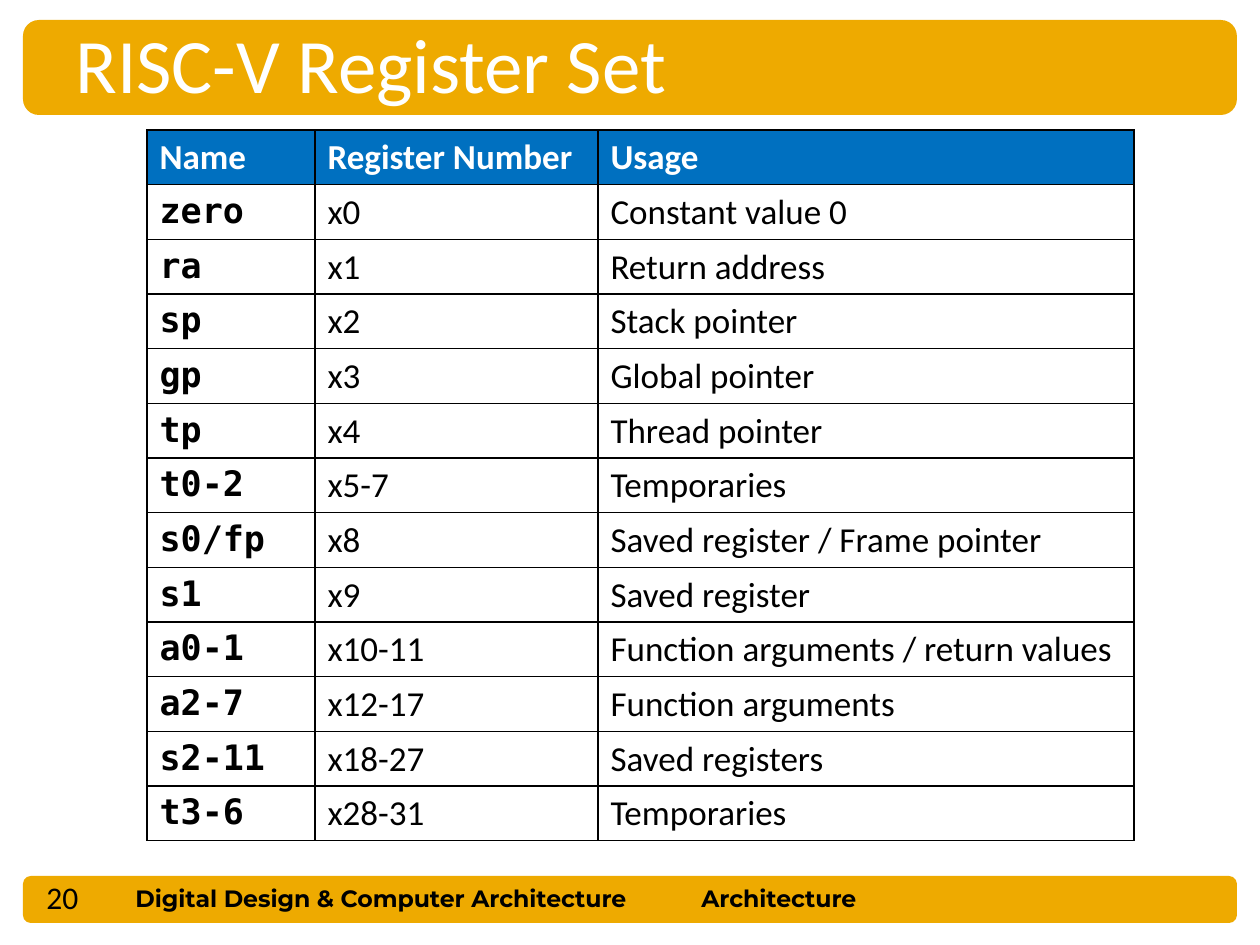
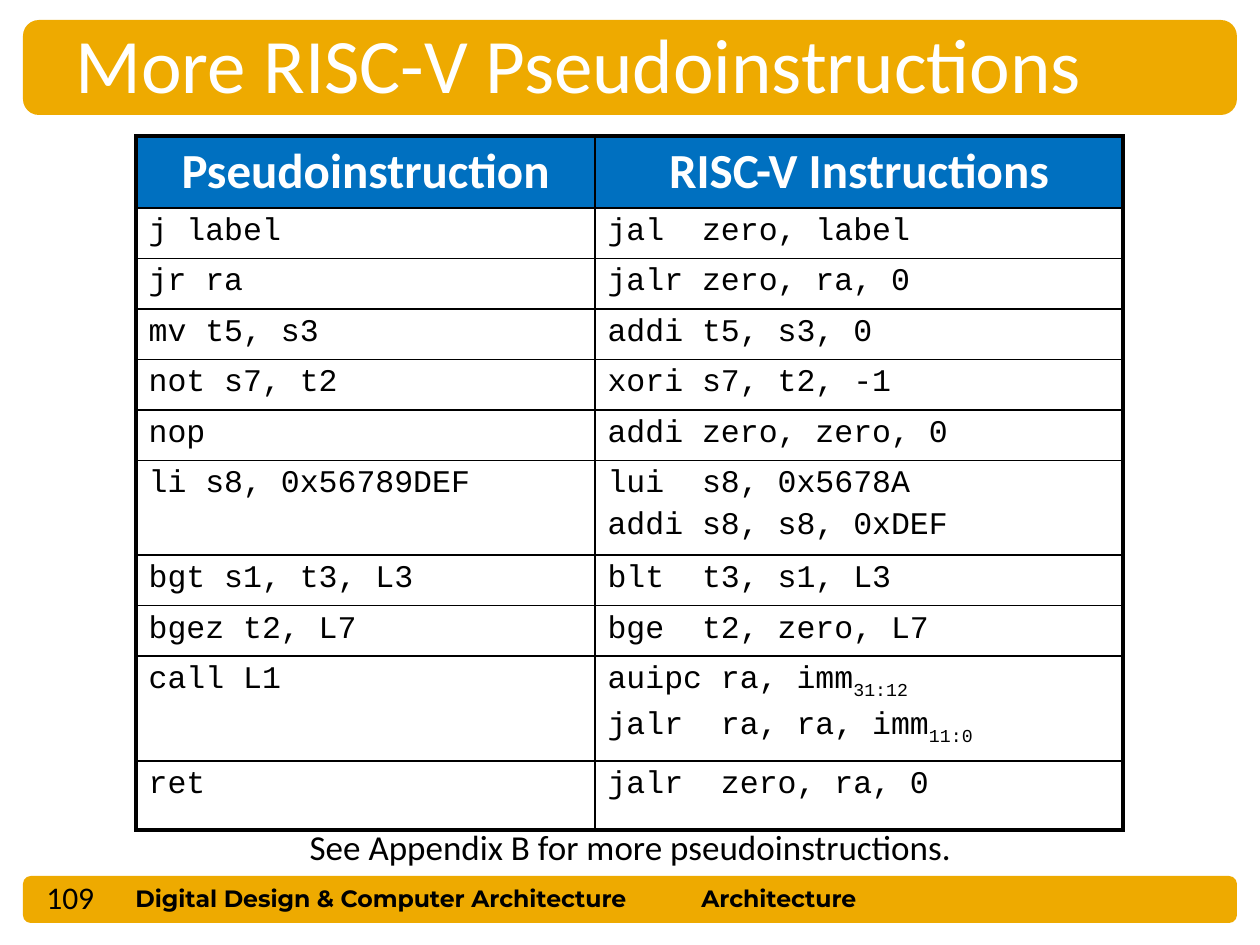
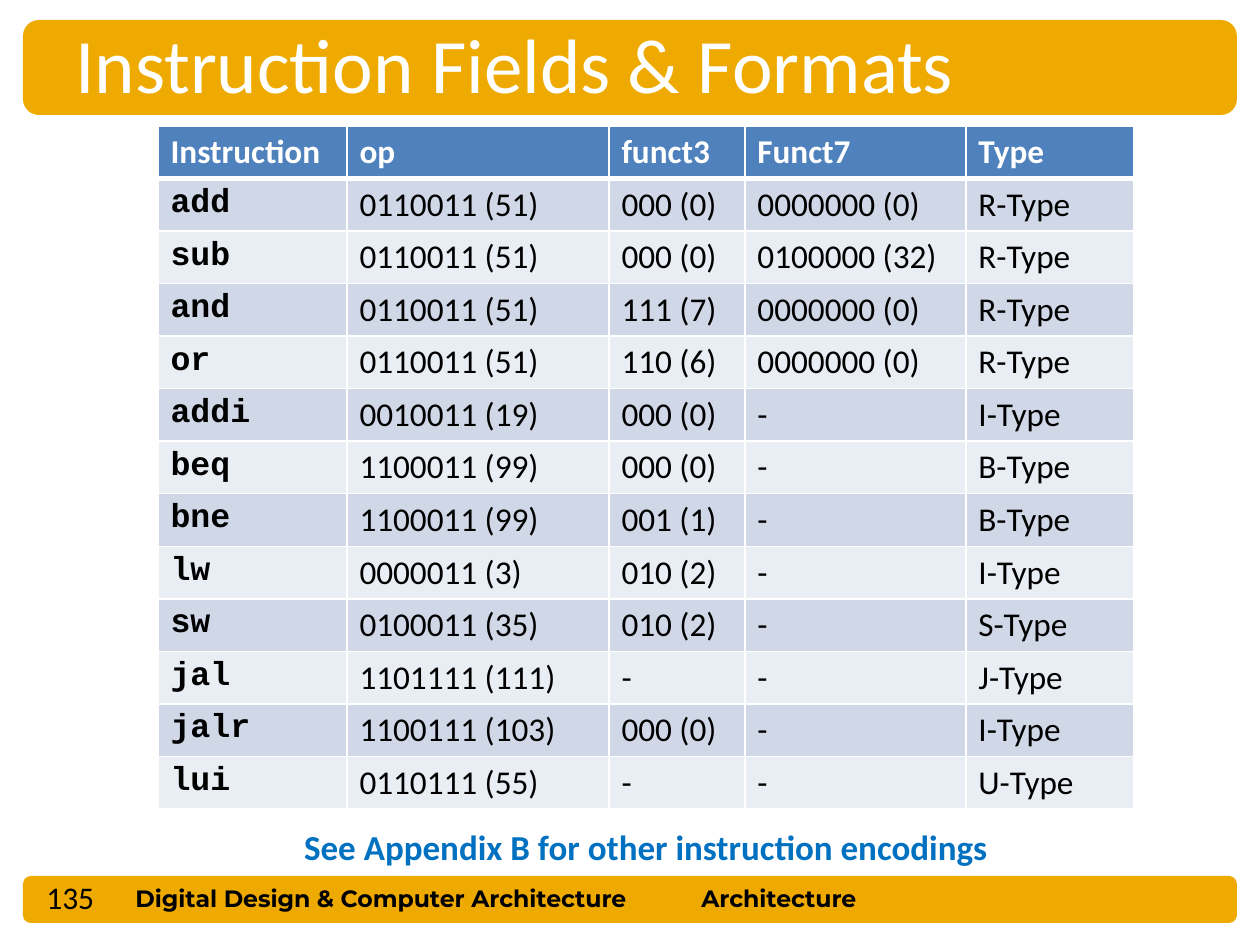
from lxml.etree import SubElement
from pptx import Presentation
from pptx.dml.color import RGBColor
from pptx.enum.shapes import MSO_SHAPE
from pptx.enum.text import MSO_ANCHOR, PP_ALIGN
from pptx.oxml.ns import qn
from pptx.util import Inches, Pt

PX = 914400 // 126
GOLD, BLUE, STEEL = "EEAA00", "0070C0", "4F81BD"
BLACK, WHITE = "000000", "FFFFFF"
BANDS = "D0D8E8", "E9EDF4"
hue = RGBColor.from_string


def write(para, text, size, color, font="Calibri", bold=False):
    """Add runs to a paragraph; what follows an underscore is a subscript."""
    for i, part in enumerate(text.split("_")):
        run = para.add_run()
        run.text = part
        run.font.size = Pt(size)
        run.font.name = font
        run.font.bold = bold
        run.font.color.rgb = hue(color)
        if i:
            run._r.get_or_add_rPr().set("baseline", "-25000")


def label(slide, box, *style):
    """Place a one-line text box and return its paragraph."""
    frame = slide.shapes.add_textbox(*(n * PX for n in box)).text_frame
    frame.word_wrap = True
    write(frame.paragraphs[0], *style)
    return frame.paragraphs[0]


registers = [
    ("Name", "Register Number", "Usage"),
    ("zero", "x0", "Constant value 0"),
    ("ra", "x1", "Return address"),
    ("sp", "x2", "Stack pointer"),
    ("gp", "x3", "Global pointer"),
    ("tp", "x4", "Thread pointer"),
    ("t0-2", "x5-7", "Temporaries"),
    ("s0/fp", "x8", "Saved register / Frame pointer"),
    ("s1", "x9", "Saved register"),
    ("a0-1", "x10-11", "Function arguments / return values"),
    ("a2-7", "x12-17", "Function arguments"),
    ("s2-11", "x18-27", "Saved registers"),
    ("t3-6", "x28-31", "Temporaries"),
]
pseudos = [
    ("Pseudoinstruction", "RISC-V Instructions"),
    ("j label", "jal  zero, label"),
    ("jr ra", "jalr zero, ra, 0"),
    ("mv t5, s3", "addi t5, s3, 0"),
    ("not s7, t2", "xori s7, t2, -1"),
    ("nop", "addi zero, zero, 0"),
    ("li s8, 0x56789DEF", "lui  s8, 0x5678A\naddi s8, s8, 0xDEF"),
    ("bgt s1, t3, L3", "blt  t3, s1, L3"),
    ("bgez t2, L7", "bge  t2, zero, L7"),
    ("call L1", "auipc ra, imm_31:12\njalr  ra, ra, imm_11:0"),
    ("ret", "jalr  zero, ra, 0"),
]
formats = [
    ("Instruction", "op", "funct3", "Funct7", "Type"),
    ("add", "0110011 (51)", "000 (0)", "0000000 (0)", "R-Type"),
    ("sub", "0110011 (51)", "000 (0)", "0100000 (32)", "R-Type"),
    ("and", "0110011 (51)", "111 (7)", "0000000 (0)", "R-Type"),
    ("or", "0110011 (51)", "110 (6)", "0000000 (0)", "R-Type"),
    ("addi", "0010011 (19)", "000 (0)", "-", "I-Type"),
    ("beq", "1100011 (99)", "000 (0)", "-", "B-Type"),
    ("bne", "1100011 (99)", "001 (1)", "-", "B-Type"),
    ("lw", "0000011 (3)", "010 (2)", "-", "I-Type"),
    ("sw", "0100011 (35)", "010 (2)", "-", "S-Type"),
    ("jal", "1101111 (111)", "-", "-", "J-Type"),
    ("jalr", "1100111 (103)", "000 (0)", "-", "I-Type"),
    ("lui", "0110111 (55)", "-", "-", "U-Type"),
]

# code: font, bold and number of the leading columns set in it
# rule: colour and widths of the inner, outer and header lines
pages = [
    dict(num="20", title="RISC-V Register Set", data=registers,
         at=(147, 130), cols=(168, 283, 536), rows=[54] * 13,
         sizes=(20, 20), code=("DejaVu Sans Mono", True, 1),
         head=BLUE, bands=None, rule=(BLACK, 1, 1, 1), mid=False),
    dict(num="109", title="More RISC-V Pseudoinstructions", data=pseudos,
         at=(136, 136), cols=(459, 528),
         rows=[72] + [50] * 5 + [95, 50, 50, 105, 69],
         sizes=(28, 18), code=("Courier New", False, 2),
         head=BLUE, bands=None, rule=(BLACK, 1, 2.25, 1), mid=True),
    dict(num="135", title="Instruction Fields & Formats", data=formats,
         at=(158, 126), cols=(189, 262, 136, 221, 168), rows=[52] * 13,
         sizes=(19, 19), code=("Courier New", True, 1),
         head=STEEL, bands=BANDS, rule=(WHITE, 1, 1, 3), mid=False),
]

deck = Presentation()
deck.slide_width, deck.slide_height = Inches(10), Inches(7.5)

for page in pages:
    slide = deck.slides.add_slide(deck.slide_layouts[6])
    for top, high in (876, 47), (20, 95):
        band = slide.shapes.add_shape(
            MSO_SHAPE.ROUNDED_RECTANGLE, 23 * PX, top * PX, 1214 * PX, high * PX)
        band.shadow.inherit = False
        band.fill.solid()
        band.fill.fore_color.rgb = hue(GOLD)
        band.line.fill.background()
    foot = 13.5, BLACK, "Montserrat", True
    label(slide, (123, 878, 559, 42), "Digital Design & Computer Architecture", *foot)
    label(slide, (689, 878, 370, 42), "Architecture", *foot)
    label(slide, (63, 10, 1144, 106), page["title"], 44, WHITE)
    label(slide, (34, 872, 103, 49), page["num"], 18, BLACK)

    data, cols, rows = page["data"], page["cols"], page["rows"]
    left, top = page["at"]
    grid = slide.shapes.add_table(
        len(rows), len(cols), left * PX, top * PX,
        sum(cols) * PX, sum(rows) * PX).table
    grid.first_row = page["bands"] is not None
    grid.horz_banding = False
    for col, wide in zip(grid.columns, cols):
        col.width = wide * PX
    for row, high in zip(grid.rows, rows):
        row.height = high * PX

    font, bold, span = page["code"]
    ink, inner, outer, under = page["rule"]
    for r, line in enumerate(data):
        for c, text in enumerate(line):
            cell = grid.cell(r, c)
            widths = {
                "L": inner if c else outer,
                "R": inner if c < len(cols) - 1 else outer,
                "T": outer if r == 0 else under if r == 1 else inner,
                "B": under if r == 0 else outer if r == len(rows) - 1 else inner,
            }
            for side, width in widths.items():
                edge = SubElement(cell._tc.get_or_add_tcPr(), qn("a:ln" + side),
                                  w=str(Pt(width)))
                fill = SubElement(edge, qn("a:solidFill"))
                SubElement(fill, qn("a:srgbClr"), val=ink)
            if r == 0 or page["bands"]:
                cell.fill.solid()
                cell.fill.fore_color.rgb = hue(
                    page["bands"][(r - 1) % 2] if r else page["head"])
            else:
                cell.fill.background()

            if r == 0:
                style = page["sizes"][0], WHITE, "Calibri", True
            elif c < span:
                style = page["sizes"][1], BLACK, font, bold
            else:
                style = page["sizes"][1], BLACK
            frame = cell.text_frame
            for i, words in enumerate(text.split("\n")):
                para = frame.add_paragraph() if i else frame.paragraphs[0]
                if i:
                    para.space_before = Pt(3.6)
                write(para, words, *style)
            if r == 0 and page["mid"]:
                cell.vertical_anchor = MSO_ANCHOR.MIDDLE
                frame.paragraphs[0].alignment = PP_ALIGN.CENTER

    if data is pseudos:
        note = label(slide, (137, 824, 987, 44),
                     "See Appendix B for more pseudoinstructions.", 20, BLACK)
        note.line_spacing = 0.9
        note.alignment = PP_ALIGN.CENTER
    elif data is formats:
        note = label(slide, (158, 819, 976, 55),
                     "See Appendix B for other instruction encodings",
                     20, BLUE, "Calibri", True)
        note.alignment = PP_ALIGN.CENTER

deck.save("out.pptx")
